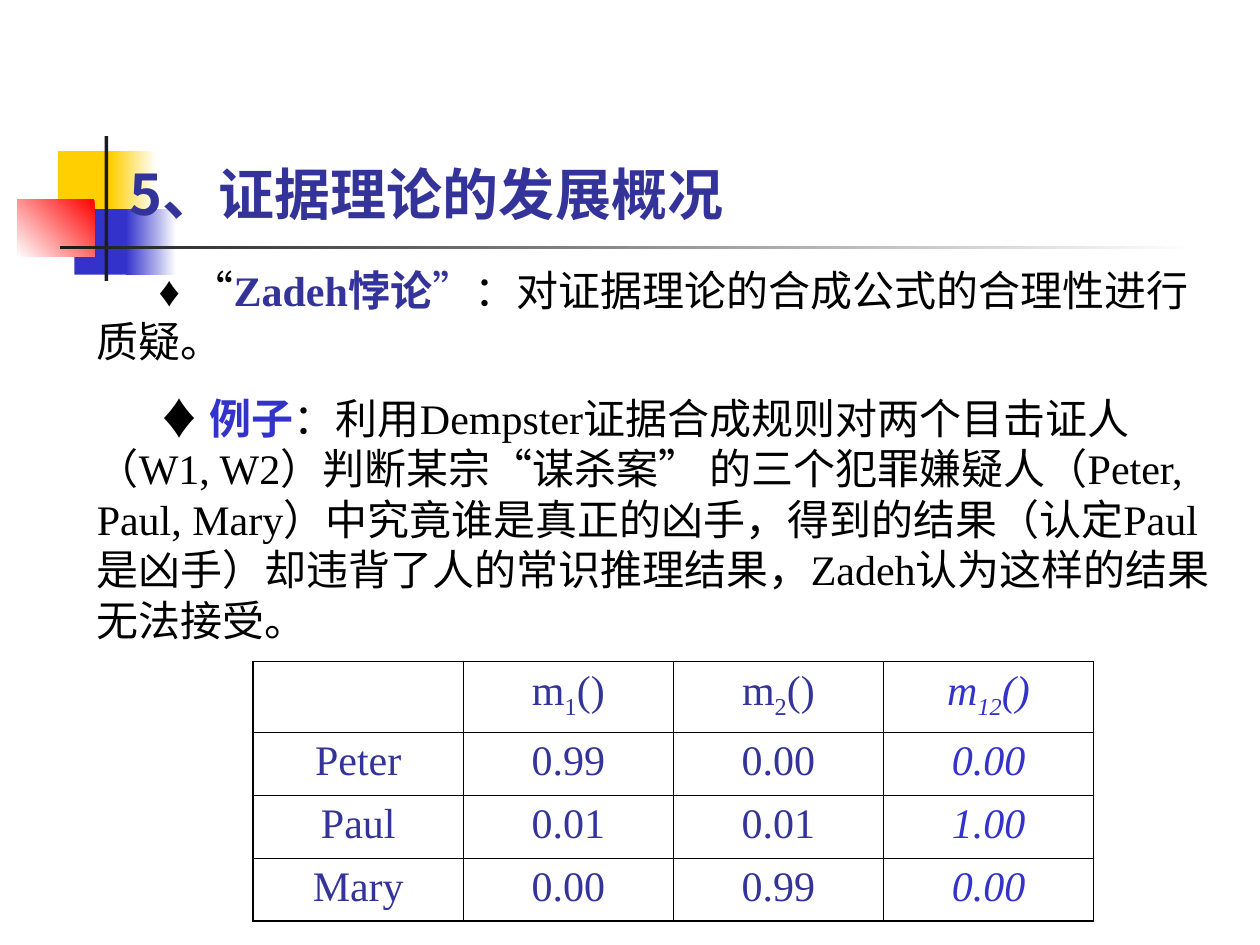
import lxml.etree
import pptx
import pptx.dml.color
import pptx.enum.shapes
import pptx.enum.text
import pptx.oxml.ns
import pptx.util

Pt = pptx.util.Pt
RGB = pptx.dml.color.RGBColor.from_string
Align = pptx.enum.text.PP_ALIGN
Fit = pptx.enum.text.MSO_AUTO_SIZE
qn = pptx.oxml.ns.qn


class Theme:
    gold, blue, red = "FFCF01", "3333CC", "FF0000"
    navy, ink, black, white = "333399", "1C1C1C", "000000", "FFFFFF"
    asian = "Noto Sans CJK SC"
    serif = "Times New Roman"
    thin, thick = 0.45, 1.08
    lead, gap = 28.9, 15
    base = dict(name=serif, size=Pt(24), bold=False, italic=False)
    fonts = {
        "head": (navy, dict(base, name=asian, size=Pt(32), bold=True)),
        "mark": (black, dict(base, name="Arial")),
        "text": (black, base),
        "term": (navy, dict(base, bold=True)),
        "case": (blue, dict(base, bold=True)),
        "quote": (navy, base),
        "cell": (navy, base),
        "sum": (blue, dict(base, italic=True)),
    }


def apply(item, values):
    for key, value in values.items():
        setattr(item, key, value)


class Deck:
    def __init__(self, theme):
        self.theme = theme
        self.file = pptx.Presentation()
        apply(self.file, dict(slide_width=pptx.util.Inches(10), slide_height=pptx.util.Inches(7.5)))
        self.unit = self.file.slide_width / 100
        self.slide = self.file.slides.add_slide(self.file.slide_layouts[5])

    def span(self, *cols):
        return [round(col * self.unit) for col in cols]

    def block(self, at, color, fade=None, angle=180):
        kind = pptx.enum.shapes.MSO_SHAPE.RECTANGLE
        shape = self.slide.shapes.add_shape(kind, *self.span(*at))
        shape.shadow.inherit = False
        shape.line.fill.background()
        if fade:
            shape.fill.gradient()
            shape.fill.gradient_angle = angle
            for stop, tone in zip(shape.fill.gradient_stops, (color, fade)):
                stop.color.rgb = RGB(tone)
        else:
            shape.fill.solid()
            shape.fill.fore_color.rgb = RGB(color)

    def words(self, para, text, style, drop=False):
        color, values = self.theme.fonts[style]
        run = para.add_run()
        run.text = text
        apply(run.font, values)
        run.font.color.rgb = RGB(color)
        props = run._r.get_or_add_rPr()
        lxml.etree.SubElement(props, qn("a:ea")).set("typeface", self.theme.asian)
        if drop:
            props.set("baseline", "-25000")

    def title(self, at, text):
        shape = self.slide.shapes.title
        shape.element.getparent().append(shape.element)
        apply(shape, dict(zip(("left", "top", "width", "height"), self.span(*at))))
        frame = shape.text_frame
        apply(frame, dict(word_wrap=True, auto_size=Fit.NONE,
                          vertical_anchor=pptx.enum.text.MSO_ANCHOR.MIDDLE))
        para = frame.paragraphs[0]
        para.alignment = Align.LEFT
        self.words(para, text, "head")

    def body(self, at, paras, indent):
        frame = self.slide.shapes.add_textbox(*self.span(*at)).text_frame
        apply(frame, dict(word_wrap=True, auto_size=Fit.NONE))
        for index, runs in enumerate(paras):
            para = frame.add_paragraph() if index else frame.paragraphs[0]
            apply(para, dict(line_spacing=Pt(self.theme.lead),
                             space_before=Pt(self.theme.gap if index else 0)))
            para._p.get_or_add_pPr().set("indent", str(self.span(indent)[0]))
            for text, style in runs:
                self.words(para, text, style)

    def border(self, cell, sides):
        props = cell._tc.get_or_add_tcPr()
        for side, outer in sides.items():
            width = self.theme.thick if outer else self.theme.thin
            line = lxml.etree.SubElement(props, qn("a:ln" + side), w=str(Pt(width)))
            fill = lxml.etree.SubElement(line, qn("a:solidFill"))
            lxml.etree.SubElement(fill, qn("a:srgbClr"), val=self.theme.black)
        cell.fill.background()

    def table(self, at, rows, heights):
        high, wide = len(rows), len(rows[0])
        grid = self.slide.shapes.add_table(high, wide, *self.span(*at)).table
        apply(grid, dict(first_row=False, horz_banding=False))
        for row, height in zip(grid.rows, self.span(*heights)):
            row.height = height
        for y, row in enumerate(rows):
            for x, parts in enumerate(row):
                cell = grid.cell(y, x)
                self.border(cell, dict(L=x == 0, R=x == wide - 1, T=y == 0, B=y == high - 1))
                para = cell.text_frame.paragraphs[0]
                para.alignment = Align.CENTER
                for index, text in enumerate(parts):
                    self.words(para, text, "sum" if x == wide - 1 else "cell", index == 1)


def main():
    theme = Theme()
    deck = Deck(theme)
    deck.block((4.6, 12, 4.8, 5.2), theme.gold)
    deck.block((8.8, 12, 3.6, 5.2), theme.white, theme.gold)
    deck.block((5.9, 16.6, 4.6, 5.2), theme.blue)
    deck.block((10, 16.6, 4, 5.2), theme.white, theme.blue)
    deck.block((1.4, 15.8, 6.1, 4.6), theme.red, theme.white, 225)
    deck.block((8.3, 10.8, 0.3, 11.5), theme.ink)
    deck.block((4.8, 19.5, 90, 0.3), theme.white, theme.ink)
    deck.title((9.3, 11.5, 87, 7.7), "5、证据理论的发展概况")
    deck.body((6.7, 20.5, 91.4, 31), [
        [("♦ ", "mark"), ("“", "text"), ("Zadeh悖论", "term"), ("”", "quote"),
         ("：对证据理论的合成公式的合理性进行质疑。", "text")],
        [("♦ ", "mark"), ("例子", "case"),
         ("：利用Dempster证据合成规则对两个目击证人（W1, W2）判断某宗“谋杀案” 的三个犯罪嫌疑人"
          "（Peter, Paul, Mary）中究竟谁是真正的凶手，得到的结果（认定Paul是凶手）"
          "却违背了人的常识推理结果，Zadeh认为这样的结果无法接受。", "text")],
    ], 4.9)
    names = [[]] + [["m", key, "()"] for key in ("1", "2", "12")]
    facts = [("Peter", "0.99", "0.00", "0.00"),
             ("Paul", "0.01", "0.01", "1.00"),
             ("Mary", "0.00", "0.99", "0.00")]
    rows = [names] + [[[text] for text in fact] for fact in facts]
    deck.table((20.1, 52.5, 66.7, 20.6), rows, (5.6, 5, 5, 5))
    deck.file.save("out.pptx")


if __name__ == "__main__":
    main()
